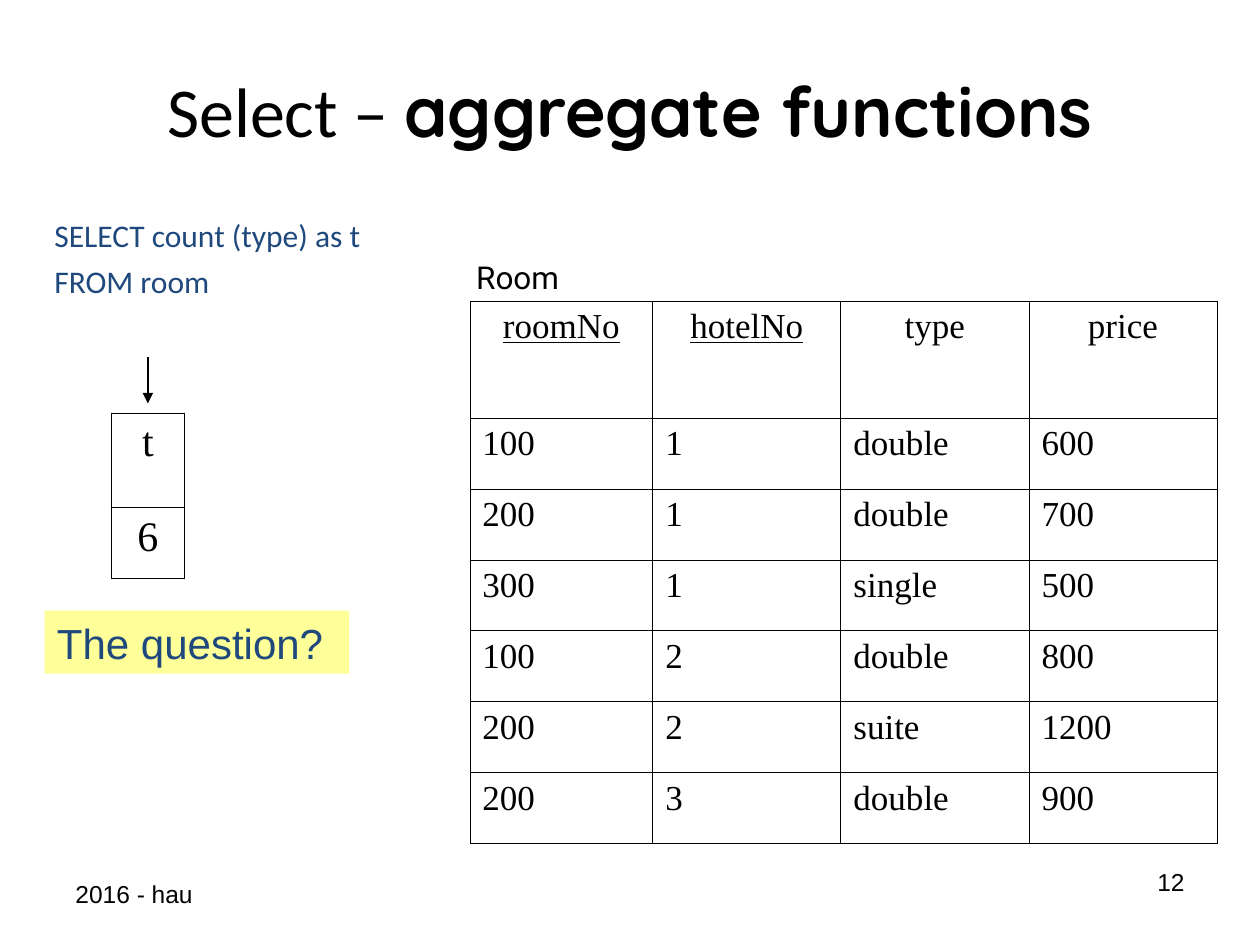
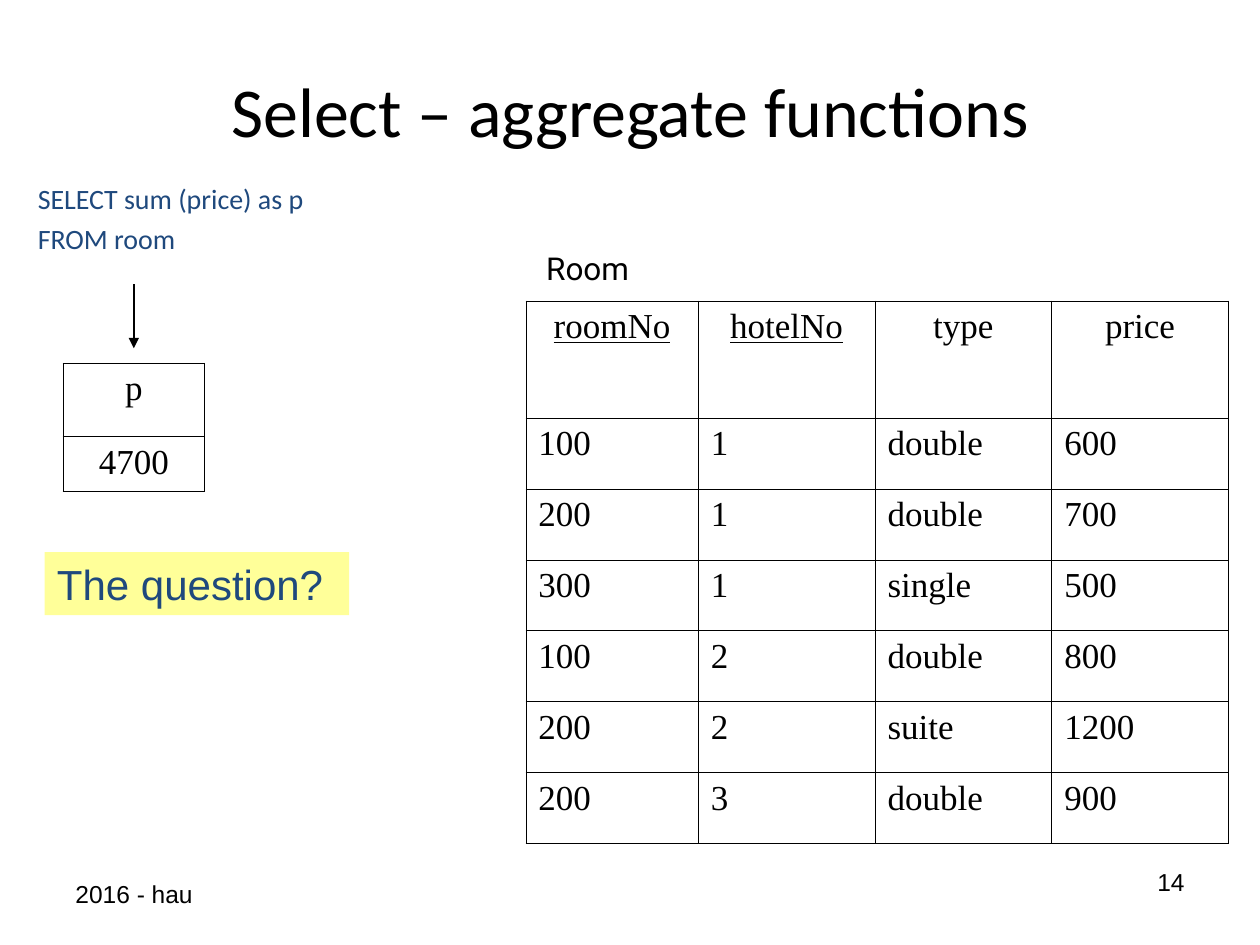
from lxml import etree
from pptx import Presentation
from pptx.dml.color import RGBColor
from pptx.enum.shapes import MSO_CONNECTOR as CONN, MSO_SHAPE as SHAPE
from pptx.enum.text import MSO_ANCHOR as ANCHOR, PP_ALIGN as ALIGN
from pptx.oxml import parse_xml
from pptx.oxml.ns import nsdecls, qn
from pptx.util import Pt

COLORS = {"ink": "000000", "sql": "1F497D", "note": "FFFF99"}
SERIF = "Times New Roman"

ROOMS = [
    ["roomNo", "hotelNo", "type", "price"],
    ["100", "1", "double", "600"],
    ["200", "1", "double", "700"],
    ["300", "1", "single", "500"],
    ["100", "2", "double", "800"],
    ["200", "2", "suite", "1200"],
    ["200", "3", "double", "900"],
]
ROOM_HEIGHTS = [67] + [40.5] * 6
KEYS = ("roomNo", "hotelNo")

SLIDES = [
    {"number": "12",
     "title": [("Select – ", "Calibri", False),
               ("aggregate functions", "Quicksand", True)],
     "sql": "SELECT count (type) as t\nFROM room",
     "sql_box": (24, 120, 648, 361.5), "sql_size": 18, "sql_gap": 4.5,
     "label_at": (265, 143.5),
     "rooms_at": (268.5, 172), "rooms_cols": [104.5] + [107.5] * 3,
     "arrow_y": (204, 230.5), "question_top": 349,
     "result": [["t"], ["6"]], "result_at": (63.5, 236),
     "result_width": 42, "result_rows": [54, 40.5], "result_size": 24},
    {"number": "14",
     "title": [("Select – aggregate functions", "Calibri", False)],
     "sql": "SELECT sum (price) as p\nFROM room",
     "sql_box": (14.5, 100, 659.5, 379.5), "sql_size": 16, "sql_gap": 4,
     "label_at": (305, 138.5),
     "rooms_at": (300.5, 172), "rooms_cols": [98.5] + [101] * 3,
     "arrow_y": (162.5, 199), "question_top": 315.5,
     "result": [["p"], ["4700"]], "result_at": (36, 207.5),
     "result_width": 81, "result_rows": [42, 31], "result_size": 20},
]


def write(tf, text, font="Arial", size=14, color="ink", align=ALIGN.LEFT,
          anchor=ANCHOR.TOP, gap=0, underline=False, wrap=True):
    """Fill a frame with lines of text, or with one line of (text, font, bold) runs."""
    tf.word_wrap = wrap
    tf.vertical_anchor = anchor
    if isinstance(text, str):
        lines = [[(line, font, False)] for line in text.split("\n")]
    else:
        lines = [text]
    for i, runs in enumerate(lines):
        p = tf.add_paragraph() if i else tf.paragraphs[0]
        p.alignment = align
        p.space_before = Pt(gap if i else 0)
        for words, face, bold in runs:
            r = p.add_run()
            r.text = words
            r.font.name, r.font.size = face, Pt(size)
            r.font.bold, r.font.underline = bold, underline
            r.font.color.rgb = RGBColor.from_string(COLORS[color])


def add_grid(s, rows, at, widths, heights, size, centered_rows):
    """Add a plain table with thin borders; the first rows are centred."""
    box = [Pt(v) for v in (*at, sum(widths), sum(heights))]
    table = s.shapes.add_table(len(rows), len(widths), *box).table
    table.first_row = table.horz_banding = False
    for col, width in zip(table.columns, widths):
        col.width = Pt(width)
    for i, (row, height) in enumerate(zip(rows, heights)):
        table.rows[i].height = Pt(height)
        for j, value in enumerate(row):
            cell = table.cell(i, j)
            write(cell.text_frame, value, font=SERIF, size=size,
                  align=ALIGN.CENTER if i < centered_rows else ALIGN.LEFT,
                  underline=value in KEYS)
            tcPr = cell._tc.get_or_add_tcPr()
            for side in "LRTB":
                tcPr.append(parse_xml(
                    f'<a:ln{side} {nsdecls("a")} w="{Pt(0.45)}"><a:solidFill>'
                    f'<a:srgbClr val="{COLORS["ink"]}"/></a:solidFill></a:ln{side}>'))
            cell.fill.background()


prs = Presentation()
prs.slide_width, prs.slide_height = Pt(720), Pt(540)

for d in SLIDES:
    s = prs.slides.add_slide(prs.slide_layouts[6])

    # Footer, number, title, query and table label
    for box, text, style in [
        ((36, 492, 168, 37.5), "2016 - hau", {"anchor": ANCHOR.MIDDLE}),
        ((516, 492, 168, 37.5), d["number"], {"align": ALIGN.RIGHT}),
        ((36, 34, 648, 57.5), d["title"],
         {"size": 40, "align": ALIGN.CENTER, "anchor": ANCHOR.MIDDLE}),
        (d["sql_box"], d["sql"],
         {"font": "Calibri", "size": d["sql_size"], "color": "sql", "gap": d["sql_gap"]}),
        ((*d["label_at"], 64, 29), "Room",
         {"font": "Roboto", "size": 18, "anchor": ANCHOR.MIDDLE, "wrap": False}),
    ]:
        tb = s.shapes.add_textbox(*[Pt(v) for v in box])
        write(tb.text_frame, text, **style)

    # Room table
    add_grid(s, ROOMS, d["rooms_at"], d["rooms_cols"], ROOM_HEIGHTS, 20, 1)

    # Arrow from the query to the middle of its result
    x = Pt(d["result_at"][0] + d["result_width"] / 2)
    y1, y2 = [Pt(y) for y in d["arrow_y"]]
    arrow = s.shapes.add_connector(CONN.STRAIGHT, x, y1, x, y2)
    arrow.line.width = Pt(1)
    arrow.line.color.rgb = RGBColor.from_string(COLORS["ink"])
    etree.SubElement(arrow.line._get_or_add_ln(), qn("a:tailEnd"), type="triangle")
    etree.SubElement(arrow._element.spPr, qn("a:effectLst"))

    # Question
    sp = s.shapes.add_shape(SHAPE.RECTANGLE, Pt(25.5), Pt(d["question_top"]), Pt(174), Pt(36))
    sp.shadow.inherit = False
    sp.fill.solid()
    sp.fill.fore_color.rgb = RGBColor.from_string(COLORS["note"])
    sp.line.fill.background()
    write(sp.text_frame, "The question?", size=24, color="sql", anchor=ANCHOR.MIDDLE)

    # Query result
    add_grid(s, d["result"], d["result_at"], [d["result_width"]],
             d["result_rows"], d["result_size"], 2)

prs.save("out.pptx")
